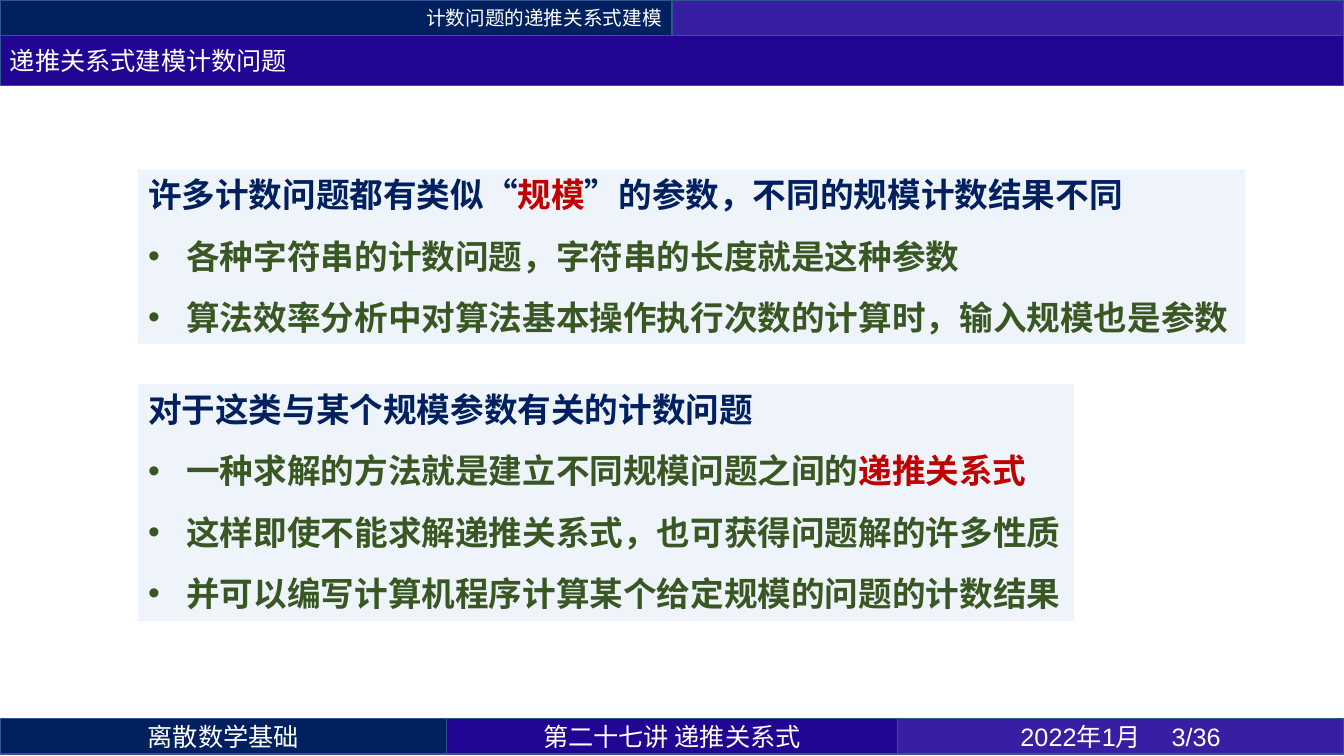
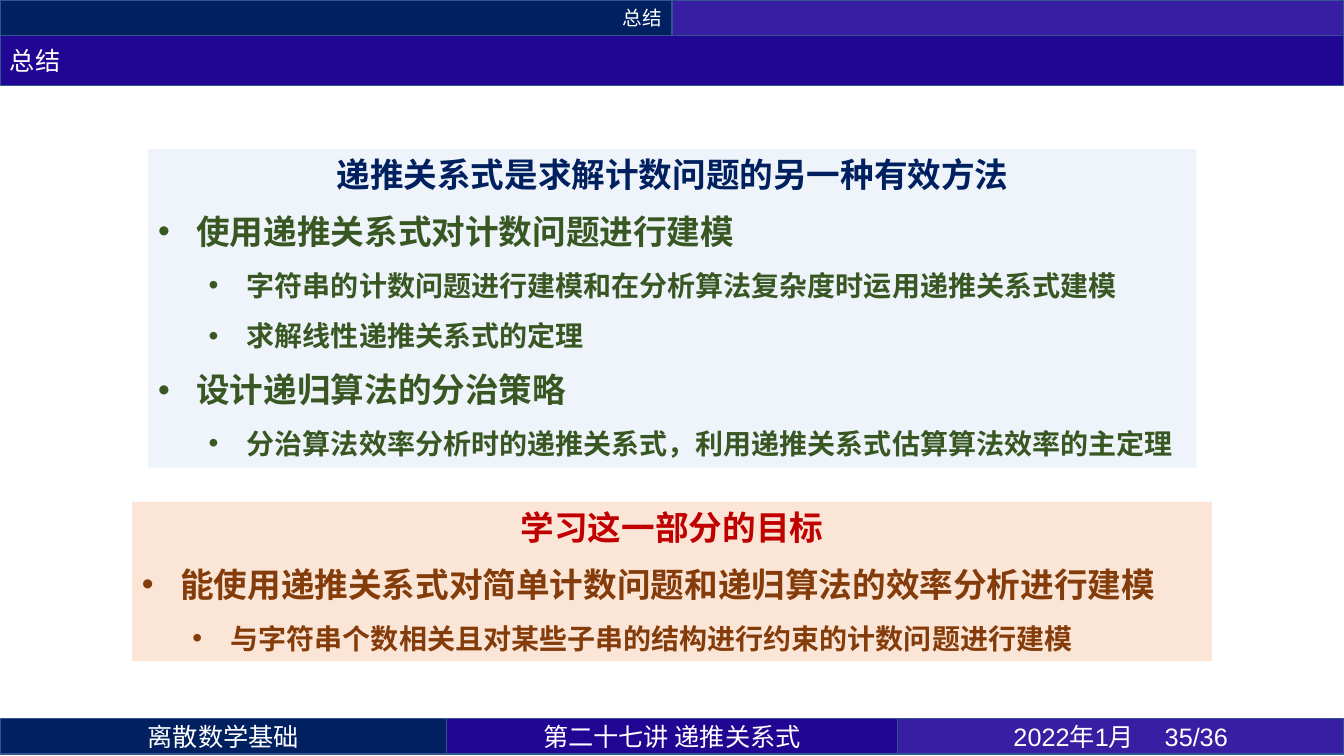
from pptx import Presentation
from pptx.dml.color import RGBColor
from pptx.enum import shapes, text
from pptx.oxml import ns, xmlchemy
from pptx.util import Inches, Pt

CJK, LATIN = "Noto Sans CJK SC", "Arial"
NAVY, INDIGO, VIOLET, EDGE = "002060", "210694", "371EA2", "325491"
WHITE, RED, GREEN, BROWN = "FFFFFF", "C00000", "385723", "843C0B"
PALE_BLUE, PEACH = "DEEBF7", "FBE5D6"
LEFT, CENTER, RIGHT = text.PP_ALIGN.LEFT, text.PP_ALIGN.CENTER, text.PP_ALIGN.RIGHT

WIDTH, HEIGHT = 13.33, 7.5
BAND_H, TITLE_H, FOOTER_TOP = 0.35, 0.5, 7.13
SIDE_W = 4.43
COURSE, LECTURE, DATE, TOTAL = "离散数学基础", "第二十七讲 递推关系式", "2022年1月", 36


def rgb(color):
    return RGBColor.from_string(color)


def sub(parent, tag, **attrs):
    """Append a DrawingML child element."""
    el = xmlchemy.OxmlElement(tag)
    for key, value in attrs.items():
        el.set(key, str(value))
    parent.append(el)
    return el


def add_run(p, words, size=24, color=NAVY, bold=False, font=CJK):
    r = p.add_run()
    r.text = words
    r.font.size, r.font.bold, r.font.name = Pt(size), bold, font
    r.font.color.rgb = rgb(color)
    ea = xmlchemy.OxmlElement("a:ea")
    ea.set("typeface", CJK)
    r._r.rPr.find(ns.qn("a:latin")).addnext(ea)


def add_bullet(p, level):
    pPr = p._p.get_or_add_pPr()
    pPr.set("marL", str(Inches(0.38 + 0.5 * level)))
    pPr.set("indent", str(Inches(-0.38)))
    sub(pPr, "a:buFont", typeface=LATIN)
    sub(pPr, "a:buChar", char="•")
    p.level = level


class Deck:
    def __init__(self):
        self.prs = Presentation()
        self.prs.slide_width, self.prs.slide_height = Inches(WIDTH), Inches(HEIGHT)
        self.s = None

    def slide(self, section, title, page):
        """Start a slide with its header, footer and title bands."""
        self.s = self.prs.slides.add_slide(self.prs.slide_layouts[6])
        half = WIDTH / 2
        self.band(0, 0, half, BAND_H, NAVY, section, RIGHT, size=14)
        self.band(half, 0, half, BAND_H, VIOLET)
        middle_w = WIDTH - 2 * SIDE_W
        self.band(0, FOOTER_TOP, SIDE_W, BAND_H, NAVY, COURSE, CENTER)
        self.band(SIDE_W, FOOTER_TOP, middle_w, BAND_H, INDIGO, LECTURE, CENTER)
        self.band(SIDE_W + middle_w, FOOTER_TOP, SIDE_W, BAND_H, VIOLET,
                  f"{DATE}\t{page}/{TOTAL}", CENTER, font=LATIN)
        self.band(0, BAND_H, WIDTH, TITLE_H, INDIGO, title)

    def band(self, x, y, w, h, fill, words="", align=LEFT, size=18, font=CJK):
        sp = self.s.shapes.add_shape(shapes.MSO_SHAPE.RECTANGLE,
                                     Inches(x), Inches(y), Inches(w), Inches(h))
        sp.shadow.inherit = False
        sp.fill.solid()
        sp.fill.fore_color.rgb = rgb(fill)
        sp.line.color.rgb = rgb(EDGE)
        sp.line.width = Pt(1)
        if words:
            tf = sp.text_frame
            tf.vertical_anchor = text.MSO_ANCHOR.MIDDLE
            p = tf.paragraphs[0]
            p.alignment = align
            add_run(p, words, size, WHITE, font=font)

    def panel(self, x, y, w, h, heading, items, fill=PALE_BLUE, color=GREEN,
              align=LEFT, after=6, alpha=None):
        """Filled box: heading runs, then bullets given as (level, runs)."""
        sp = self.s.shapes.add_textbox(Inches(x), Inches(y), Inches(w), Inches(h))
        sp.fill.solid()
        sp.fill.fore_color.rgb = rgb(fill)
        if alpha is not None:
            clr = sp._element.spPr.find(".//" + ns.qn("a:srgbClr"))
            sub(clr, "a:alpha", val=alpha * 1000)
        tf = sp.text_frame
        tf.word_wrap = True
        tf.auto_size = text.MSO_AUTO_SIZE.SHAPE_TO_FIT_TEXT
        p = tf.paragraphs[0]
        p.alignment, p.space_after = align, Pt(after)
        for words, tint in heading:
            add_run(p, words, color=tint, bold=True)
        for level, *runs in items:
            p = tf.add_paragraph()
            add_bullet(p, level)
            p.space_before, p.space_after = Pt(6), Pt(after)
            size, font = (20, LATIN) if level else (24, CJK)
            for words, *tint in runs:
                add_run(p, words, size, tint[0] if tint else color, True, font)


def main():
    deck = Deck()

    deck.slide("计数问题的递推关系式建模", "递推关系式建模计数问题", 3)
    deck.panel(1.37, 1.68, 10.98, 1.73,
               [("许多计数问题都有类似“", NAVY), ("规模", RED),
                ("”的参数，不同的规模计数结果不同", NAVY)],
               [(0, ("各种字符串的计数问题，字符串的长度就是这种参数",)),
                (0, ("算法效率分析中对算法基本操作执行次数的计算时，输入规模也是参数",))],
               after=9, alpha=50)
    deck.panel(1.37, 3.81, 9.28, 2.35,
               [("对于这类与某个规模参数有关的计数问题", NAVY)],
               [(0, ("一种求解的方法就是建立不同规模问题之间的",), ("递推关系式", RED)),
                (0, ("这样即使不能求解递推关系式，也可获得问题解的许多性质",)),
                (0, ("并可以编写计算机程序计算某个给定规模的问题的计数结果",))],
               after=9, alpha=50)

    deck.slide("总结", "总结", 35)
    deck.panel(1.47, 1.48, 10.4, 3.16,
               [("递推关系式是求解计数问题的另一种有效方法", NAVY)],
               [(0, ("使用递推关系式对计数问题进行建模",)),
                (1, ("字符串的计数问题进行建模和在分析算法复杂度时运用递推关系式建模",)),
                (1, ("求解线性递推关系式的定理",)),
                (0, ("设计递归算法的分治策略",)),
                (1, ("分治算法效率分析时的递推关系式，利用递推关系式估算算法效率的主定理",))],
               align=CENTER, alpha=50)
    deck.panel(1.31, 4.98, 10.71, 1.58,
               [("学习这一部分的目标", RED)],
               [(0, ("能使用递推关系式对简单计数问题和递归算法的效率分析进行建模",)),
                (1, ("与字符串个数相关且对某些子串的结构进行约束的计数问题进行建模",))],
               fill=PEACH, color=BROWN, align=CENTER)

    deck.prs.save("out.pptx")


if __name__ == "__main__":
    main()
